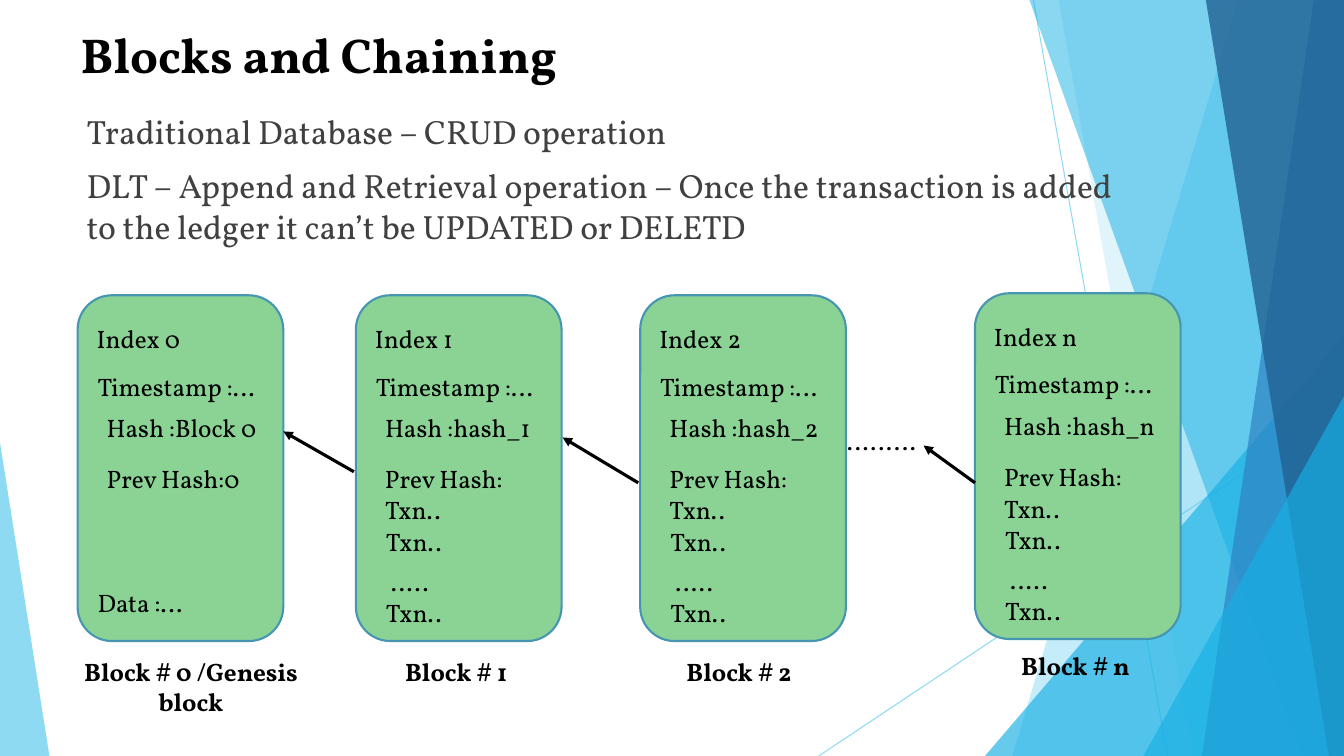
from dataclasses import dataclass

from lxml.etree import SubElement
from pptx import Presentation
from pptx.dml.color import RGBColor
from pptx.enum.shapes import MSO_CONNECTOR as CONN, MSO_SHAPE as SHAPE
from pptx.enum.text import MSO_ANCHOR as ANCHOR, MSO_AUTO_SIZE as FIT, PP_ALIGN as ALIGN
from pptx.oxml.ns import qn
from pptx.util import Pt

PX = 9144  # 100 px to the inch
W, H = 1333, 750
COLORS = {
    "black": "000000", "grey": "404040", "green": "8AD394", "edge": "4696B1",
    "sky": "5FCBEF", "cyan": "17B0E4", "blue": "2E83C3", "navy": "226292",
}
LABEL = {"name": "Vollkorn", "size": Pt(18), "bold": False}
CAPTION = LABEL | {"bold": True}
TITLE = LABEL | {"size": Pt(35), "bold": True}
BODY = LABEL | {"size": Pt(24)}


@dataclass(frozen=True)
class Facet:
    points: tuple[tuple[int, int], ...]
    color: str
    alpha: int


@dataclass(frozen=True)
class Corner:
    box: tuple[int, int, int, int]
    apex: int
    color: str
    alpha: int


@dataclass(frozen=True)
class Row:
    text: str
    dx: int
    dy: int
    width: int


@dataclass(frozen=True)
class Block:
    left: int
    top: int
    rows: tuple[Row, ...]
    caption: str
    caption_box: tuple[int, int, int, int]
    align: ALIGN = ALIGN.LEFT


@dataclass(frozen=True)
class Line:
    start: tuple[int, int]
    end: tuple[int, int]
    color: str
    width: float
    alpha: int = 100
    arrow: bool = False


def emu(*lengths: int) -> list[int]:
    return [n * PX for n in lengths]


def rgb(name: str) -> RGBColor:
    return RGBColor.from_string(COLORS[name])


def set_alpha(element, alpha: int) -> None:
    if alpha < 100:
        color = next(element.iter(qn("a:srgbClr")))
        SubElement(color, qn("a:alpha"), val=str(alpha * 1000))


def paint(sp, color: str, alpha: int = 100) -> None:
    sp.shadow.inherit = False
    sp.fill.solid()
    sp.fill.fore_color.rgb = rgb(color)
    set_alpha(sp.element.spPr, alpha)
    sp.line.fill.background()


def write(p, text: str, style: dict, color: str = "black", align: ALIGN = ALIGN.LEFT) -> None:
    p.alignment = align
    r = p.add_run()
    r.text = text
    for key, value in style.items():
        setattr(r.font, key, value)
    r.font.color.rgb = rgb(color)


def set_frame(tf, anchor: ANCHOR = ANCHOR.TOP) -> None:
    for key, value in {"word_wrap": True, "auto_size": FIT.NONE, "vertical_anchor": anchor}.items():
        setattr(tf, key, value)


def add_text(s, box: tuple[int, int, int, int], text: str, style: dict,
             align: ALIGN = ALIGN.LEFT) -> None:
    tf = s.shapes.add_textbox(*emu(*box)).text_frame
    set_frame(tf)
    write(tf.paragraphs[0], text, style, align=align)


def add_line(s, line: Line) -> None:
    c = s.shapes.add_connector(CONN.STRAIGHT, *emu(*line.start, *line.end))
    c.line.color.rgb = rgb(line.color)
    c.line.width = Pt(line.width)
    spPr = c.element.spPr
    set_alpha(spPr, line.alpha)
    if line.arrow:
        SubElement(spPr.find(qn("a:ln")), qn("a:tailEnd"), type="triangle")
    SubElement(spPr, qn("a:effectLst"))


def add_decor(s, part: Facet | Corner) -> None:
    if isinstance(part, Facet):
        builder = s.shapes.build_freeform(*part.points[0], scale=PX)
        builder.add_line_segments(part.points[1:], close=True)
        sp = builder.convert_to_shape()
    else:
        sp = s.shapes.add_shape(SHAPE.ISOSCELES_TRIANGLE, *emu(*part.box))
        sp.adjustments[0] = part.apex
    paint(sp, part.color, part.alpha)


def add_block(s, block: Block) -> None:
    group = s.shapes.add_group_shape()
    card = group.shapes.add_shape(SHAPE.ROUNDED_RECTANGLE, *emu(block.left, block.top, 204, 343))
    paint(card, "green")
    card.line.color.rgb = rgb("edge")
    card.line.width = Pt(1.5)
    for row in block.rows:
        sp = group.shapes.add_shape(
            SHAPE.RECTANGLE, *emu(block.left + row.dx, block.top + row.dy, row.width, 40))
        paint(sp, "green")
        set_frame(sp.text_frame)
        write(sp.text_frame.paragraphs[0], row.text, LABEL)
    add_text(s, block.caption_box, block.caption, CAPTION, block.align)


def head_rows(index: str, hash_value: str, prev: str) -> tuple[Row, ...]:
    return (Row(f"Index {index}", 9, 23, 161), Row("Timestamp :…", 10, 70, 186),
            Row(f"Hash :{hash_value}", 19, 111, 175), Row(f"Prev Hash:{prev}", 19, 162, 167))


def chain_block(index: str, left: int, top: int, caption_left: int, caption_top: int) -> Block:
    txns = (Row("Txn..", 19, 193, 139), Row("Txn..", 20, 224, 139),
            Row("Txn..", 20, 295, 139), Row("…..", 25, 264, 154))
    return Block(left, top, head_rows(index, f"hash_{index}", "") + txns,
                 f"Block # {index}", (caption_left, caption_top, 134, 40))


RAYS = (Line((1025, 0), (1158, H), "sky", 0.75, 70), Line((W, 403), (812, H), "sky", 0.75, 70))
DECOR = (
    Facet(((1228, 0), (W, 0), (W, H), (1004, H)), "sky", 36),
    Facet(((1050, 0), (W, 0), (W, H), (1183, H)), "sky", 20),
    Corner((977, 333, 356, 417), 1, "cyan", 66),
    Facet(((1021, 0), (W, 0), (W, H), (1291, H)), "cyan", 50),
    Facet(((1303, 0), (W, 0), (W, H), (1192, H)), "blue", 70),
    Facet(((1196, 0), (W, 0), (W, H), (1318, H)), "navy", 80),
    Corner((1134, 393, 199, 357), 1, "cyan", 66),
    Corner((0, 439, 49, 311), 0, "sky", 70),
)
BLOCKS = (
    Block(77, 293, (Row("Data :…", 10, 285, 158),) + head_rows("0", "Block 0", "0"),
          "Block # 0 /Genesis block", (41, 646, 297, 71), ALIGN.CENTER),
    chain_block("1", 353, 293, 392, 646),
    chain_block("2", 635, 293, 671, 646),
    chain_block("n", 967, 291, 1003, 640),
)
ARROWS = tuple(Line(start, end, "black", 2.25, arrow=True) for start, end in (
    ((351, 468), (281, 428)), ((633, 479), (558, 434)), ((967, 479), (916, 442))))
POINTS = (
    "Traditional Database – CRUD operation",
    "DLT – Append and Retrieval operation – Once the transaction is added to the ledger "
    "it can’t be UPDATED or DELETD",
)


def main() -> None:
    prs = Presentation()
    prs.slide_width, prs.slide_height = emu(W, H)
    s = prs.slides.add_slide(prs.slide_layouts[1])
    title, body = s.shapes.title, s.placeholders[1]

    # Faceted background
    for ray in RAYS:
        add_line(s, ray)
    for part in DECOR:
        add_decor(s, part)

    # Title and list, in front of the background
    for sp, box, anchor in ((title, (70, 19, 925, 69), ANCHOR.MIDDLE),
                            (body, (41, 105, 1095, 150), ANCHOR.TOP)):
        sp.element.getparent().append(sp.element)
        sp.left, sp.top, sp.width, sp.height = emu(*box)
        set_frame(sp.text_frame, anchor)
    write(title.text_frame.paragraphs[0], "Blocks and Chaining", TITLE)
    for i, point in enumerate(POINTS):
        tf = body.text_frame
        p = tf.add_paragraph() if i else tf.paragraphs[0]
        pPr = p._p.get_or_add_pPr()
        pPr.set("marL", str(35 * PX))
        pPr.set("indent", "0")
        SubElement(pPr, qn("a:buNone"))
        p.space_before = Pt(10 if i else 0)
        write(p, point, BODY, "grey")

    # Chain of blocks
    for block in BLOCKS:
        add_block(s, block)
    add_text(s, (830, 417, 98, 40), "………", LABEL)
    for arrow in ARROWS:
        add_line(s, arrow)

    prs.save("out.pptx")


if __name__ == "__main__":
    main()
